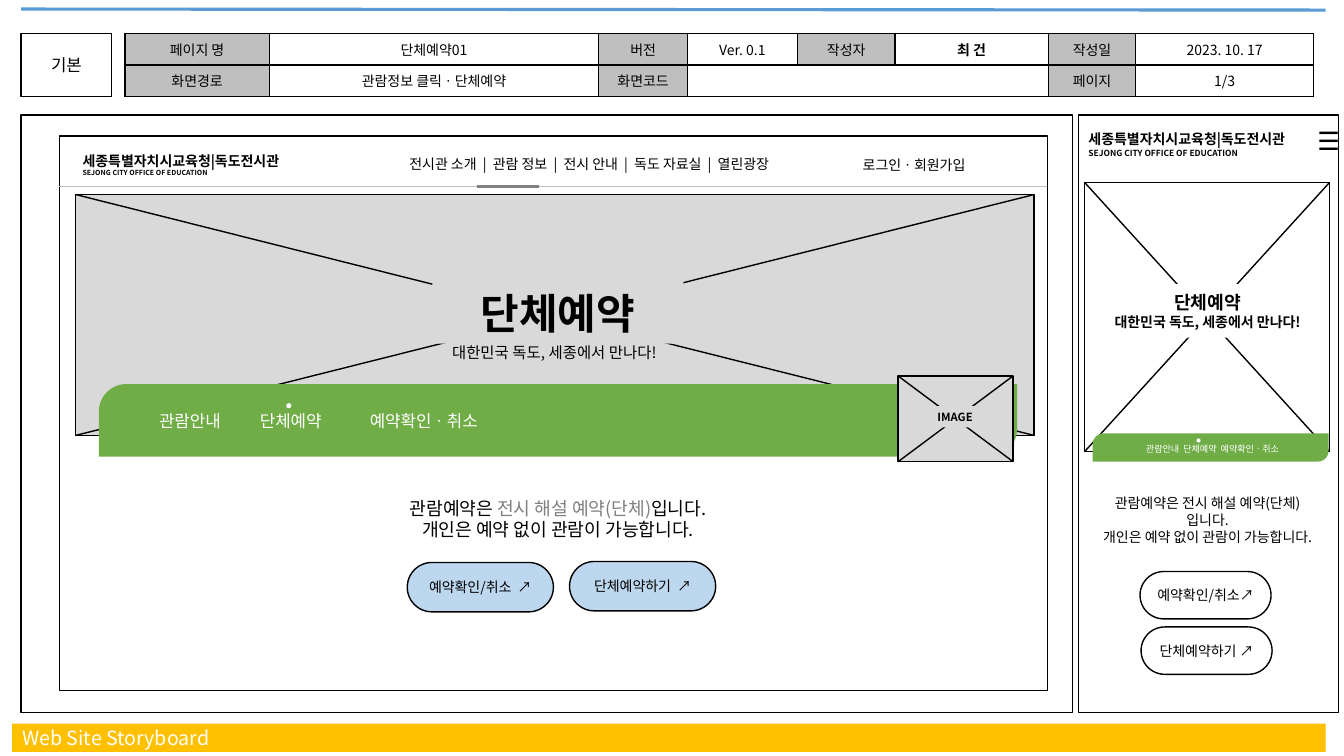
from dataclasses import dataclass
from itertools import product

from lxml import etree
from pptx import Presentation
from pptx.dml.color import RGBColor
from pptx.enum.shapes import MSO_CONNECTOR, MSO_SHAPE
from pptx.enum.text import MSO_ANCHOR, PP_ALIGN
from pptx.oxml.ns import qn
from pptx.util import Inches, Pt

LEFT, CENTER = PP_ALIGN.LEFT, PP_ALIGN.CENTER
TOP, MIDDLE = MSO_ANCHOR.TOP, MSO_ANCHOR.MIDDLE
RECTANGLE, ROUNDED = MSO_SHAPE.RECTANGLE, MSO_SHAPE.ROUNDED_RECTANGLE
DIAGONAL, OVAL = MSO_SHAPE.ROUND_2_DIAG_RECTANGLE, MSO_SHAPE.OVAL
STRAIGHT = MSO_CONNECTOR.STRAIGHT
TITLE_ONLY = 5


@dataclass(frozen=True)
class Theme:
    font: str = "Noto Sans CJK KR"
    black: str = "000000"
    white: str = "FFFFFF"
    label: str = "BFBFBF"
    image: str = "D9D9D9"
    accent: str = "808080"
    green: str = "70AD47"
    button: str = "BDD7EE"
    top_rule: str = "5B9BD5"
    footer: str = "FFC000"
    body: float = 10
    menu: float = 12
    notice: float = 13
    heading: float = 14
    icon: float = 18
    hero: float = 30
    subtitle: float = 11
    image_label: float = 8
    small_menu: float = 6.5
    desktop_logo: float = 5
    mobile_logo: float = 6
    hairline: float = 0.5
    outline: float = 1
    highlight: float = 2.25


THEME = Theme()


def grid(count):
    """Length of grid columns or rows; the slide has ten to the inch."""
    return Inches(count / 10)


@dataclass(frozen=True)
class Box:
    left: float
    top: float
    width: float
    height: float

    def area(self, column, row, width, height):
        return Box(self.left + column, self.top + row, width, height)

    def lengths(self):
        return [grid(n) for n in (self.left, self.top, self.width, self.height)]


@dataclass(frozen=True)
class Line:
    text: str
    size: float = THEME.body
    bold: bool = False
    color: str = THEME.black


def rgb(color):
    return RGBColor.from_string(color)


def format_paragraph(paragraph, line, align, tabs=()):
    paragraph.alignment = align
    if tabs:
        tab_list = etree.SubElement(paragraph._p.get_or_add_pPr(), qn("a:tabLst"))
        for stop in tabs:
            etree.SubElement(tab_list, qn("a:tab"), pos=str(grid(stop)), algn="l")
    font = paragraph.font
    font.name, font.size, font.bold = THEME.font, Pt(line.size), line.bold
    font.color.rgb = rgb(line.color)
    defaults = paragraph._p.pPr.find(qn("a:defRPr"))
    etree.SubElement(defaults, qn("a:ea"), typeface=THEME.font)


def write(frame, lines, align=CENTER, anchor=MIDDLE, tabs=()):
    frame.word_wrap = True
    frame.vertical_anchor = anchor
    for index, line in enumerate(lines):
        paragraph = frame.add_paragraph() if index else frame.paragraphs[0]
        paragraph.text = line.text
        format_paragraph(paragraph, line, align, tabs)


def add_text(slide, box, lines, align=CENTER, tabs=()):
    frame = slide.shapes.add_textbox(*box.lengths()).text_frame
    write(frame, lines, align, TOP, tabs)
    return frame


def add_block(slide, box, fill, kind=RECTANGLE, outlined=True, lines=(), corners=()):
    shape = slide.shapes.add_shape(kind, *box.lengths())
    shape.shadow.inherit = False
    shape.fill.solid()
    shape.fill.fore_color.rgb = rgb(fill)
    if outlined:
        shape.line.color.rgb = rgb(THEME.black)
        shape.line.width = Pt(THEME.outline)
    else:
        shape.line.fill.background()
    for index, value in enumerate(corners):
        shape.adjustments[index] = value
    frame = shape.text_frame
    frame.margin_left = frame.margin_right = frame.margin_top = frame.margin_bottom = 0
    write(frame, lines)


def add_line(slide, start, end, color=THEME.black, width=THEME.outline):
    line = slide.shapes.add_connector(STRAIGHT, *[grid(n) for n in (*start, *end)])
    line.line.color.rgb = rgb(color)
    line.line.width = Pt(width)
    etree.SubElement(line._element.spPr, qn("a:effectLst"))


def add_image_area(slide, box, fill):
    """A rectangle crossed by its two diagonals."""
    add_block(slide, box, fill)
    right, bottom = box.left + box.width, box.top + box.height
    add_line(slide, (box.left, box.top), (right, bottom))
    add_line(slide, (box.left, bottom), (right, box.top))


def add_green_bar(slide, box):
    add_block(slide, box, THEME.green, DIAGONAL, False, corners=(0.38, 0))


def add_button(slide, box, text, fill):
    add_block(slide, box, fill, ROUNDED, lines=[Line(text)], corners=(0.5,))


def add_logo(slide, box, small_size):
    add_text(slide, box, [Line("세종특별자치시교육청|독도전시관", bold=True),
                          Line("SEJONG CITY OFFICE OF EDUCATION", small_size, True)], LEFT)


def format_cell(cell, text, is_label):
    borders = cell._tc.get_or_add_tcPr()
    for side in ("lnL", "lnR", "lnT", "lnB"):
        border = etree.SubElement(borders, qn(f"a:{side}"), w=str(Pt(THEME.outline)))
        fill = etree.SubElement(border, qn("a:solidFill"))
        etree.SubElement(fill, qn("a:srgbClr"), val=THEME.black)
    cell.fill.solid()
    cell.fill.fore_color.rgb = rgb(THEME.label if is_label else THEME.white)
    cell.margin_left = cell.margin_right = cell.margin_top = cell.margin_bottom = 0
    cell.vertical_anchor = MIDDLE
    paragraph = cell.text_frame.paragraphs[0]
    paragraph.text = text
    format_paragraph(paragraph, Line(text, bold=text == "최 건"), CENTER)
    paragraph._p.get_or_add_endParaRPr().set("sz", str(Pt(THEME.body).centipoints))


def add_page_table(slide, box):
    rows = [
        ["페이지 명", "단체예약01", "버전", "Ver. 0.1", "작성자", "최 건", "작성일", "2023. 10. 17"],
        ["화면경로", "관람정보 클릭ㆍ단체예약", "화면코드", "", "", "", "페이지", "1/3"],
    ]
    widths = [14.3, 32.7, 8.8, 10.9, 9.7, 15.2, 8.7, 17.6]
    table = slide.shapes.add_table(len(rows), len(widths), *box.lengths()).table
    table.first_row = table.horz_banding = False
    for column, width in zip(table.columns, widths):
        column.width = grid(width)
    for row, column in product(range(len(rows)), range(len(widths))):
        text = rows[row][column]
        format_cell(table.cell(row, column), text, column % 2 == 0 and text)
    table.cell(1, 3).merge(table.cell(1, 5))


def add_desktop(slide, panel):
    add_block(slide, panel, THEME.white)
    page = panel.area(3.8, 2.1, 98, 55)
    add_block(slide, page, THEME.white)
    add_image_area(slide, page.area(1.6, 5.8, 95.1, 23.9), THEME.image)
    add_logo(slide, page.area(1.3, 1.1, 25.2, 3.5), THEME.desktop_logo)
    add_text(slide, page.area(30.3, 1.4, 44.5, 2.7),
             [Line("전시관 소개  |  관람 정보  |  전시 안내  |  독도 자료실  |  열린광장")])
    add_text(slide, page.area(78.7, 1.5, 13.2, 2.7), [Line("로그인ㆍ회원가입")], LEFT)
    add_block(slide, page.area(37, 14.5, 24.9, 6.1), THEME.image, outlined=False,
              lines=[Line("단체예약", THEME.hero, True)])
    add_text(slide, page.area(34.8, 20, 28.6, 2.9),
             [Line("대한민국 독도, 세종에서 만나다!", THEME.subtitle)])

    add_green_bar(slide, page.area(3.9, 24.6, 91.1, 7.2))
    add_text(slide, page.area(8.9, 26.8, 40, 3),
             [Line("관람안내\t단체예약\t예약확인ㆍ취소", THEME.menu, color=THEME.white)],
             LEFT, tabs=(10, 20.9))
    add_block(slide, page.area(22.5, 26.5, 0.5, 0.5), THEME.white, OVAL, False)
    image = page.area(83.2, 23.8, 11.4, 8.5)
    add_image_area(slide, image, THEME.image)
    add_block(slide, image.area(2.5, 3, 6.3, 2.1), THEME.image, outlined=False,
              lines=[Line("IMAGE", THEME.image_label, True)])

    rule = page.top + 5
    for start, end, color, width in ((0, page.width, THEME.label, THEME.hairline),
                                     (41.4, 47.6, THEME.accent, THEME.highlight)):
        add_line(slide, (page.left + start, rule), (page.left + end, rule), color, width)

    notice = add_text(slide, page.area(32, 35.3, 34.9, 5.4),
                      [Line("관람예약은 ", THEME.notice),
                       Line("개인은 예약 없이 관람이 가능합니다.", THEME.notice)])
    first = notice.paragraphs[0]
    emphasis = first.add_run()
    emphasis.text = "전시 해설 예약(단체)"
    emphasis.font.color.rgb = rgb(THEME.accent)
    first.add_run().text = "입니다."
    add_button(slide, page.area(34.5, 42.3, 14.5, 4.9), "예약확인/취소  ↗", THEME.button)
    add_button(slide, page.area(50.6, 42.2, 14.5, 4.9), "단체예약하기  ↗", THEME.button)


def add_mobile(slide, panel):
    add_block(slide, panel, THEME.white)
    add_image_area(slide, panel.area(0.6, 6.7, 24.3, 26.7), THEME.white)
    add_block(slide, panel.area(2.3, 16.8, 21, 5.3), THEME.white, outlined=False,
              lines=[Line("단체예약", THEME.notice, True),
                     Line("대한민국 독도, 세종에서 만나다!", bold=True)])
    add_text(slide, panel.area(0.1, 37.2, 25.4, 6.1),
             [Line("관람예약은 전시 해설 예약(단체)"), Line("입니다."),
              Line("개인은 예약 없이 관람이 가능합니다.")])
    add_button(slide, panel.area(6.1, 45.3, 13, 4.7), "예약확인/취소↗", THEME.white)
    add_button(slide, panel.area(6.2, 50.8, 13, 4.7), "단체예약하기 ↗", THEME.white)
    add_green_bar(slide, panel.area(1.4, 31.6, 23.4, 2.8))
    add_text(slide, panel.area(3.5, 32.1, 19.6, 3.2),
             [Line("관람안내  단체예약  예약확인ㆍ취소", THEME.small_menu, color=THEME.white)])
    add_block(slide, panel.area(11.7, 32.1, 0.4, 0.4), THEME.white, OVAL, False)
    add_text(slide, panel.area(22.7, 0.5, 3, 4.4), [Line("☰", THEME.icon)])
    add_logo(slide, panel.area(0, 1.1, 23.4, 4), THEME.mobile_logo)


def format_footer_title(title, box):
    title.left, title.top, title.width, title.height = box.lengths()
    title.fill.solid()
    title.fill.fore_color.rgb = rgb(THEME.footer)
    frame = title.text_frame
    frame.margin_top = frame.margin_bottom = 0
    write(frame, [Line("Web Site Storyboard", THEME.heading, color=THEME.white)], LEFT)


def main():
    presentation = Presentation()
    presentation.slide_width, presentation.slide_height = grid(133.33), grid(75)
    slide = presentation.slides.add_slide(presentation.slide_layouts[TITLE_ONLY])
    format_footer_title(slide.shapes.title, Box(1.2, 71.8, 130.3, 2.8))
    add_line(slide, (2.1, 0.9), (131.5, 1), THEME.top_rule, THEME.highlight)
    add_block(slide, Box(2.1, 3.3, 9, 6.3), THEME.white, lines=[Line("기본", THEME.menu)])
    add_page_table(slide, Box(12.4, 3.3, 117.9, 6.3))
    add_desktop(slide, Box(2.1, 11.4, 104.3, 59.3))
    add_mobile(slide, Box(107, 11.4, 25.8, 59.3))
    presentation.save("out.pptx")


if __name__ == "__main__":
    main()
